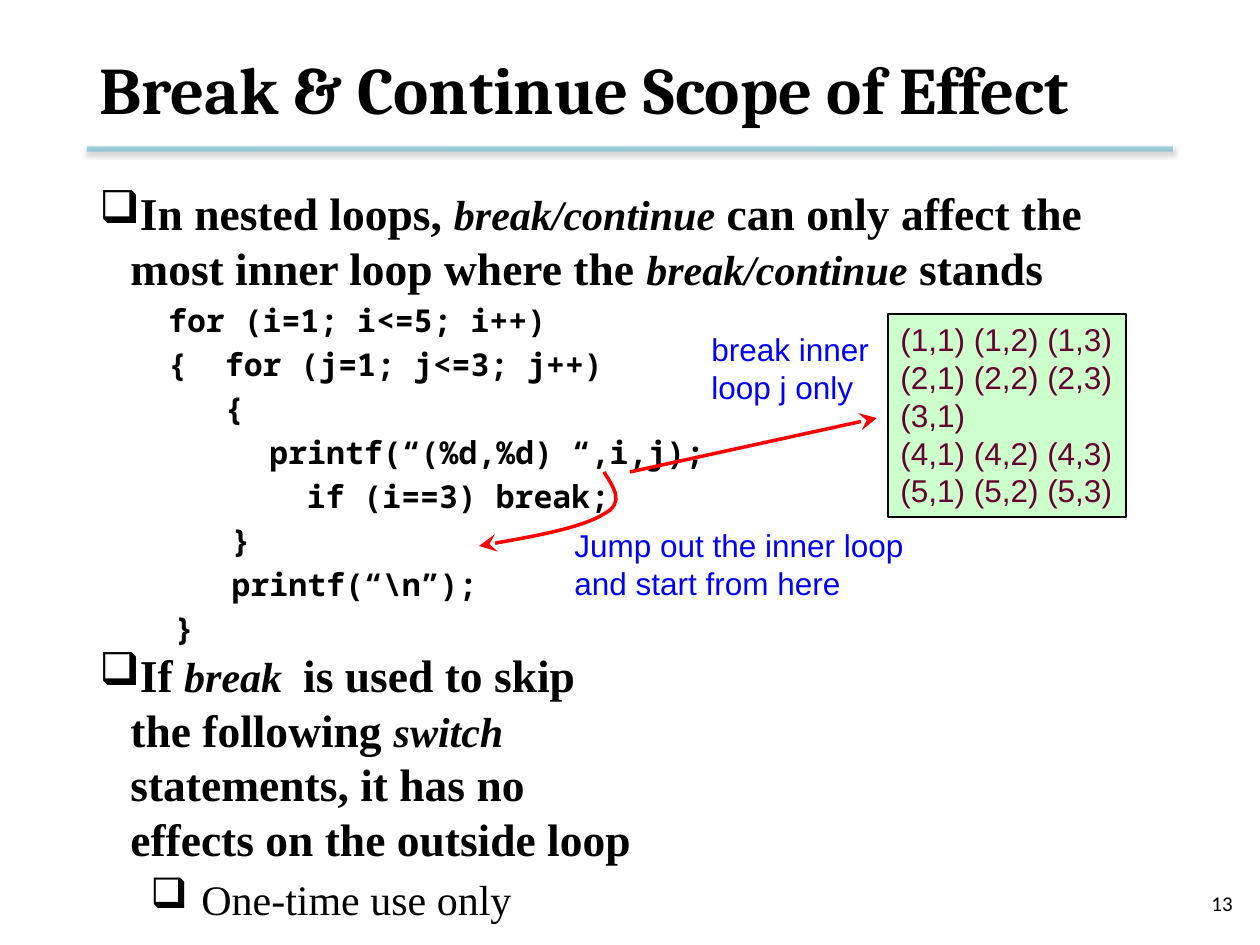
from dataclasses import dataclass

from lxml import etree
from pptx import Presentation
from pptx.dml.color import RGBColor
from pptx.enum.shapes import MSO_CONNECTOR, MSO_SHAPE
from pptx.enum.text import MSO_ANCHOR, MSO_AUTO_SIZE, PP_ALIGN
from pptx.oxml.ns import qn
from pptx.util import Emu, Pt

STRAIGHT, RECT = MSO_CONNECTOR.STRAIGHT, MSO_SHAPE.RECTANGLE
TOP, MIDDLE = MSO_ANCHOR.TOP, MSO_ANCHOR.MIDDLE
LEFT, RIGHT = PP_ALIGN.LEFT, PP_ALIGN.RIGHT
FIT = MSO_AUTO_SIZE.SHAPE_TO_FIT_TEXT
SCALE = 914400 / 126
COLORS = {"text": "000000", "rule": "4BACC6", "output": "660033",
          "output_fill": "CCFFCC", "note": "0000FF", "arrow": "FF0000"}
SERIF, MONO, SANS = "Times New Roman", "Noto Sans Mono", "Arial"


@dataclass(frozen=True)
class Run:
    text: str
    size: int
    font: str
    color: str = "text"
    bold: bool = False
    italic: bool = False


@dataclass(frozen=True)
class Para:
    runs: tuple[Run, ...]
    margin: int = 0
    indent: int = 0
    bullet: str = ""
    before: float = 0
    spacing: float = 1.0
    align: PP_ALIGN = LEFT


@dataclass(frozen=True)
class Box:
    x: int
    y: int
    w: int
    h: int


def px(n: int) -> Emu:
    return Emu(round(n * SCALE))


def rgb(name: str) -> RGBColor:
    return RGBColor.from_string(COLORS[name])


def add_xml(parent, tag: str, **attrs):
    return etree.SubElement(parent, qn(tag), {k: str(v) for k, v in attrs.items()})


def fill_text(tf, paras: list[Para], anchor: MSO_ANCHOR, wrap: bool) -> None:
    tf.word_wrap = wrap
    tf.vertical_anchor = anchor
    if not wrap:
        tf.auto_size = FIT
    for i, para in enumerate(paras):
        p = tf.paragraphs[0] if i == 0 else tf.add_paragraph()
        pPr = p._p.get_or_add_pPr()
        pPr.set("marL", str(px(para.margin)))
        pPr.set("indent", str(px(para.indent)))
        if para.bullet:
            add_xml(pPr, "a:buChar", char=para.bullet)
        else:
            add_xml(pPr, "a:buNone")
        p.alignment = para.align
        p.line_spacing = para.spacing
        p.space_before = Pt(para.before)
        for run in para.runs:
            r = p.add_run()
            r.text = run.text
            r.font.size, r.font.name = Pt(run.size), run.font
            r.font.bold, r.font.italic = run.bold, run.italic
            r.font.color.rgb = rgb(run.color)


def add_text(slide, box: Box, paras: list[Para], anchor=TOP, wrap=True) -> None:
    sp = slide.shapes.add_textbox(px(box.x), px(box.y), px(box.w), px(box.h))
    fill_text(sp.text_frame, paras, anchor, wrap)


def add_line(slide, x1: int, y1: int, x2: int, y2: int, color: str, width: float):
    cxn = slide.shapes.add_connector(STRAIGHT, px(x1), px(y1), px(x2), px(y2))
    cxn.line.color.rgb, cxn.line.width = rgb(color), Pt(width)
    return cxn, add_xml(cxn._element.spPr, "a:effectLst")


def add_arrowhead(sp) -> None:
    add_xml(sp.line._get_or_add_ln(), "a:tailEnd", type="stealth", w="lg", len="lg")


def add_rule(slide) -> None:
    """Half-transparent title rule with a soft shadow below it."""
    cxn, effects = add_line(slide, 87, 149, 1173, 149, "rule", 3)
    add_xml(cxn.line._get_or_add_ln().find(".//" + qn("a:srgbClr")), "a:alpha", val=50000)
    shadow = add_xml(effects, "a:outerShdw", blurRad=Pt(3.1), dist=Pt(1.6),
                     dir=5400000, rotWithShape=0)
    add_xml(add_xml(shadow, "a:srgbClr", val=COLORS["text"]), "a:alpha", val=38000)


def add_curve(slide, points: list[tuple[int, int]]):
    """Bezier outline: a start point, then three points per segment."""
    builder = slide.shapes.build_freeform(*points[0], scale=SCALE)
    builder.add_line_segments(points[1:], close=False)
    sp = builder.convert_to_shape()
    outline = sp._element.find(".//" + qn("a:path"))
    steps = outline.findall(qn("a:lnTo"))
    for i in range(0, len(steps), 3):
        curve = add_xml(outline, "a:cubicBezTo")
        for step in steps[i:i + 3]:
            curve.append(step[0])
            outline.remove(step)
    sp.shadow.inherit = False
    sp.fill.background()
    sp.line.color.rgb, sp.line.width = rgb("arrow"), Pt(2)
    return sp


def plain(lines: list[str], color: str) -> list[Para]:
    return [Para((Run(line, 18, SANS, color),)) for line in lines]


def strong(text: str) -> Run:
    return Run(text, 26, SERIF, bold=True)


def keyword(text: str) -> Run:
    return Run(text, 24, SERIF, bold=True, italic=True)


def code(text: str, margin: int, indent: int = 0) -> Para:
    return Para((Run(text, 18, MONO, bold=True),), margin, indent, before=3.6)


def body_paras() -> list[Para]:
    hang, mark = (31, -57), "❑"
    return [
        Para((strong("In nested loops, "), keyword("break/continue"),
              strong(" can only affect the most inner loop where the "),
              keyword("break/continue"), strong(" stands")), *hang, mark),
        code("  for (i=1; i<=5; i++)", 31),
        code("  {  for (j=1; j<=3; j++)", 31),
        code("     {", 31),
        code("         printf(“(%d,%d) “,i,j);", 0),
        code("      if (i==3) break;", 94),
        code("       }", 0),
        code("       printf(“\\n”);", 0),
        code("    }", 0),
        Para((strong("If "), keyword("break  "), strong("is used to skip")), *hang, mark),
        Para((strong("the following "), keyword("switch")), 31),
        Para((strong("statements, it has no"),), 31),
        Para((strong("effects on the outside loop"),), 31),
        Para((Run("One-time use only", 24, SERIF),), 102, -51, mark, 4.8),
    ]


def main() -> None:
    prs = Presentation()
    prs.slide_width, prs.slide_height = px(1260), px(945)
    slide = prs.slides.add_slide(prs.slide_layouts[6])

    add_rule(slide)
    add_text(slide, Box(951, 878, 294, 50),
             [Para((Run("13", 12, "Calibri"),), align=RIGHT)], MIDDLE)
    add_text(slide, Box(87, 21, 1086, 134),
             [Para((Run("Break & Continue Scope of Effect", 38, "Cambria", bold=True),))],
             MIDDLE)
    add_text(slide, Box(87, 179, 1086, 750), body_paras())

    sp = slide.shapes.add_shape(RECT, px(888), px(314), px(238), px(203))
    sp.shadow.inherit = False
    sp.fill.solid()
    sp.fill.fore_color.rgb = rgb("output_fill")
    sp.line.color.rgb, sp.line.width = rgb("text"), Pt(0.75)
    output = ["(3,1)" if i == 3 else " ".join(f"({i},{j})" for j in range(1, 4))
              for i in range(1, 6)]
    fill_text(sp.text_frame, plain(output, "output"), TOP, False)

    arrow, _ = add_line(slide, 630, 472, 877, 418, "arrow", 2)
    add_arrowhead(arrow)
    add_text(slide, Box(699, 324, 183, 88),
             plain(["break inner", "loop j only"], "note"), wrap=False)
    add_arrowhead(add_curve(slide, [(604, 472), (614, 488), (625, 503), (604, 514),
                                    (583, 527), (532, 537), (479, 546)]))
    add_text(slide, Box(562, 520, 354, 88),
             plain(["Jump out the inner loop", "and start from here"], "note"), wrap=False)
    prs.save("out.pptx")


if __name__ == "__main__":
    main()
